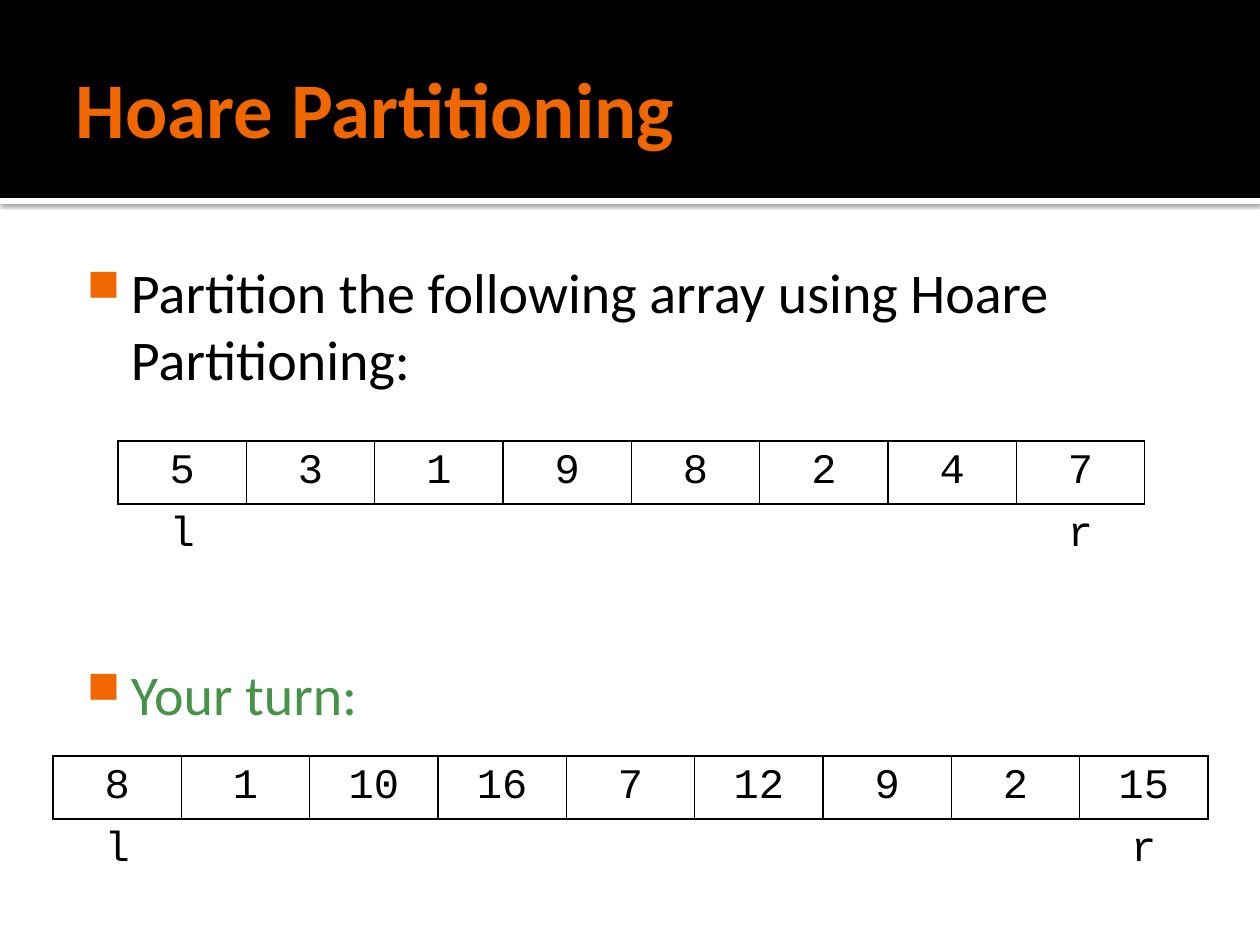
from lxml.etree import SubElement
from pptx import Presentation
from pptx.dml.color import RGBColor
from pptx.enum.shapes import MSO_SHAPE
from pptx.enum.text import MSO_ANCHOR, PP_ALIGN
from pptx.oxml.ns import qn
from pptx.util import Pt

EMU_PER_PX = 914400 / 126
BLACK = RGBColor(0, 0, 0)
WHITE = RGBColor(255, 255, 255)
ORANGE = RGBColor(0xF0, 0x67, 0x00)
GREEN = RGBColor(0x47, 0x92, 0x49)
ROW_HEIGHT = 60


def px(length):
    """Turn pixels into EMU."""
    return round(length * EMU_PER_PX)


def add_element(parent, tag, **attributes):
    """Append a drawing element to its parent."""
    return SubElement(parent, qn(f"a:{tag}"), attributes)


def write(paragraph, text, font="Calibri", size=32, color=BLACK, bold=False):
    """Add a formatted run to a paragraph."""
    run = paragraph.add_run()
    run.text = text
    run.font.name = font
    run.font.size = Pt(size)
    run.font.color.rgb = color
    run.font.bold = bold


def add_band(slide, top, height, color):
    """Add a full-width band without outline."""
    band = slide.shapes.add_shape(MSO_SHAPE.RECTANGLE, 0, px(top), px(1260), px(height))
    band.fill.solid()
    band.fill.fore_color.rgb = color
    band.line.fill.background()
    band.shadow.inherit = False
    return band


def cast_shadow(shape):
    """Give a shape a soft shadow below it."""
    effects = shape._element.spPr.find(qn("a:effectLst"))
    shadow = add_element(effects, "outerShdw", blurRad="31750", dist="10160",
                         dir="5400000", algn="tl", rotWithShape="0")
    color = add_element(shadow, "srgbClr", val=str(BLACK))
    add_element(color, "alpha", val="60000")


def add_text_frame(slide, left, top, width, height, insets, anchor=MSO_ANCHOR.TOP):
    """Add a wrapping text box and return its text frame."""
    frame = slide.shapes.add_textbox(px(left), px(top), px(width), px(height)).text_frame
    frame.word_wrap = True
    frame.vertical_anchor = anchor
    frame.margin_left, frame.margin_top, frame.margin_right, frame.margin_bottom = map(px, insets)
    return frame


def write_bullet(paragraph, text, color=BLACK):
    """Write a paragraph with a square orange bullet."""
    properties = paragraph._p.get_or_add_pPr()
    properties.set("marL", str(px(60)))
    properties.set("indent", str(px(-44)))
    bullet_color = add_element(properties, "buClr")
    add_element(bullet_color, "srgbClr", val=str(ORANGE))
    add_element(properties, "buSzPct", val="80000")
    add_element(properties, "buChar", char="■")
    write(paragraph, text, color=color)


def set_borders(cell, visible):
    """Draw the named sides of a cell and hide the others."""
    properties = cell._tc.get_or_add_tcPr()
    for side in "LRTB":
        line = add_element(properties, f"ln{side}", w=str(Pt(1)))
        if side in visible:
            fill = add_element(line, "solidFill")
            add_element(fill, "srgbClr", val=str(BLACK))
        else:
            add_element(line, "noFill")


def add_array(slide, left, top, width, values):
    """Add an array table with l and r marks below its ends."""
    count = len(values)
    marks = ["l"] + [""] * (count - 2) + ["r"]
    table = slide.shapes.add_table(2, count, px(left), px(top), px(width),
                                   px(2 * ROW_HEIGHT)).table
    table.first_row = table.horz_banding = False
    for column in table.columns:
        column.width = px(width / count)
    for row, (texts, sides) in enumerate([(values, "LRTB"), (marks, "T")]):
        for column, text in enumerate(texts):
            cell = table.cell(row, column)
            set_borders(cell, sides)
            cell.fill.background()
            cell.vertical_anchor = MSO_ANCHOR.MIDDLE
            if text:
                paragraph = cell.text_frame.paragraphs[0]
                paragraph.alignment = PP_ALIGN.CENTER
                write(paragraph, str(text), font="Courier New", size=24)


def main():
    """Build the slide and save it."""
    presentation = Presentation()
    presentation.slide_width, presentation.slide_height = px(1260), px(945)
    slide = presentation.slides.add_slide(presentation.slide_layouts[6])

    cast_shadow(add_band(slide, 198, 6, WHITE))
    add_band(slide, 0, 198, BLACK)

    title = add_text_frame(slide, 63, 21, 1134, 173, (13, 6, 6, 6), MSO_ANCHOR.MIDDLE)
    write(title.paragraphs[0], "Hoare Partitioning", size=45, color=ORANGE, bold=True)

    body = add_text_frame(slide, 63, 244, 1134, 638, (8, 13, 13, 6))
    write_bullet(body.paragraphs[0], "Partition the following array using Hoare Partitioning:")
    your_turn = body.add_paragraph()
    your_turn.space_before = Pt(153)
    write_bullet(your_turn, "Your turn:", color=GREEN)

    add_array(slide, 118, 441, 1027, [5, 3, 1, 9, 8, 2, 4, 7])
    add_array(slide, 53, 756, 1155, [8, 1, 10, 16, 7, 12, 9, 2, 15])
    presentation.save("out.pptx")


if __name__ == "__main__":
    main()
